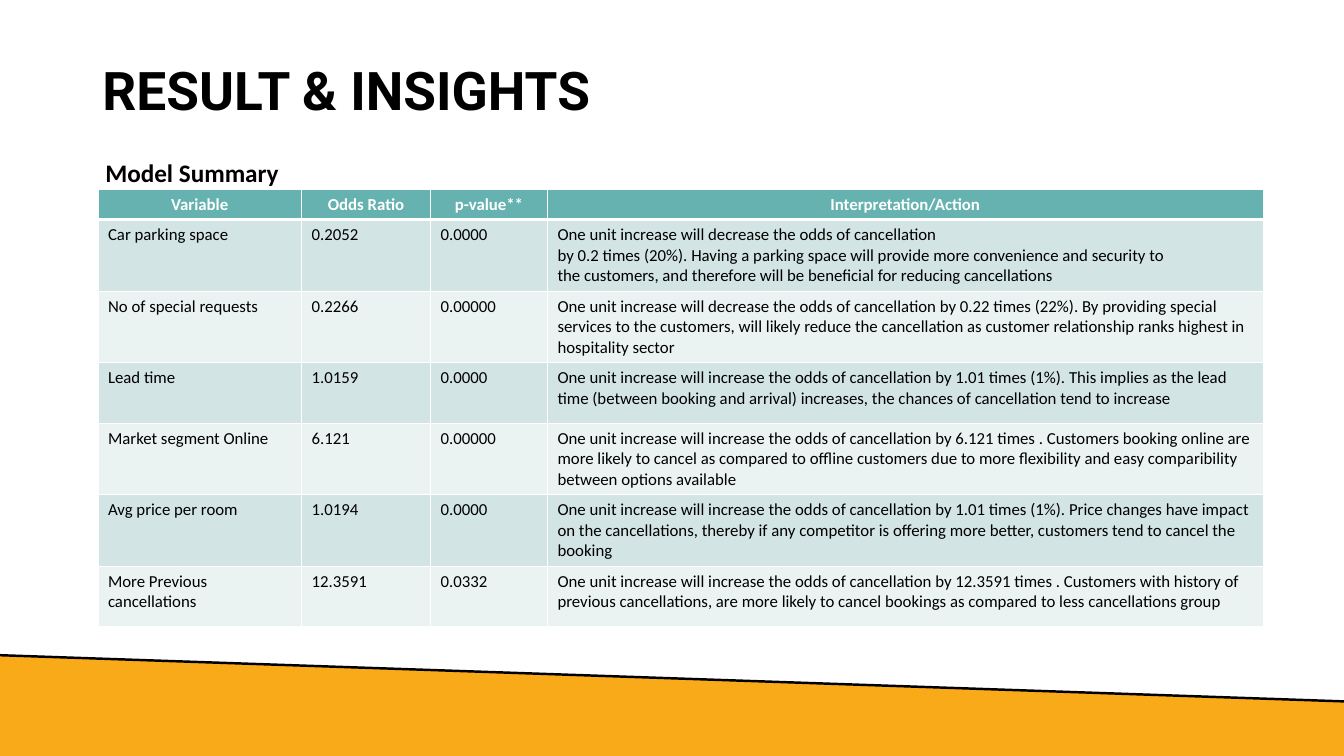
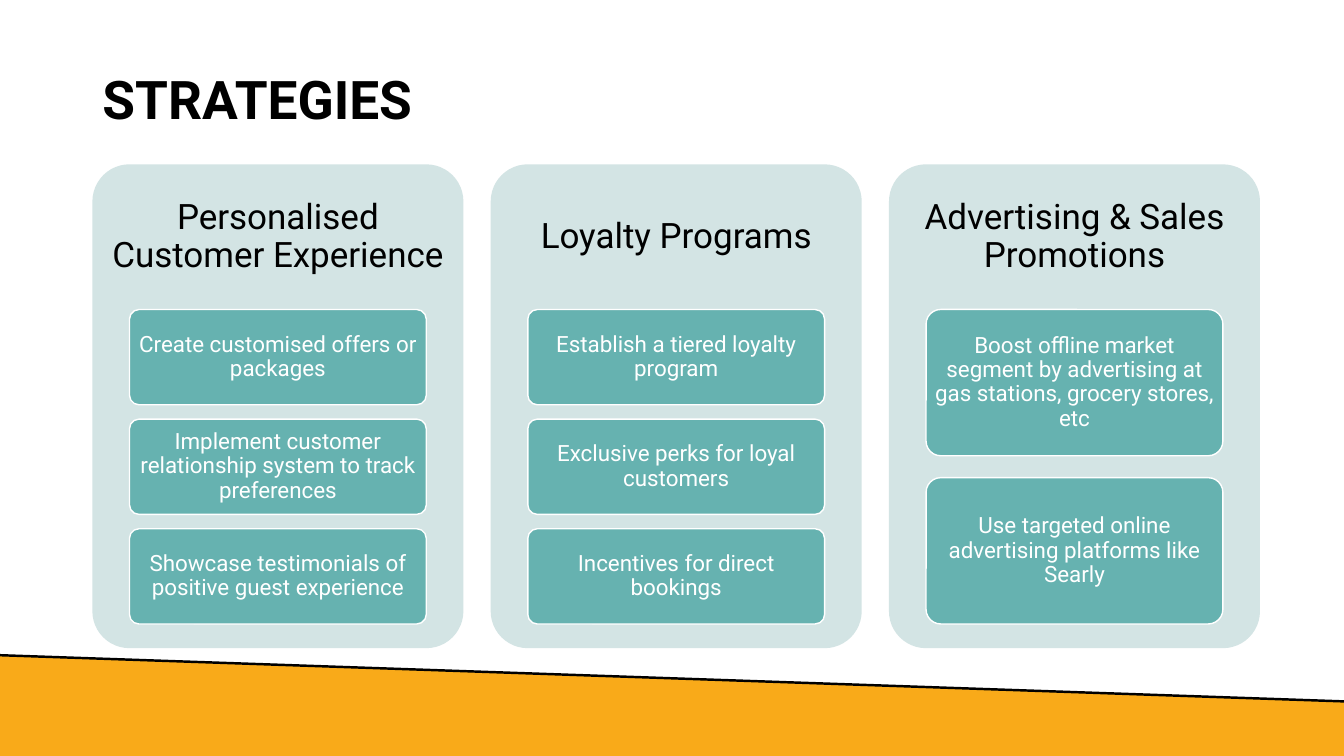
import lxml.etree
import pptx
import pptx.dml.color
import pptx.enum.shapes
import pptx.enum.text
import pptx.oxml.ns
import pptx.util

Pt = pptx.util.Pt
qn = pptx.oxml.ns.qn
ALIGN = pptx.enum.text.PP_ALIGN
ANCHOR = pptx.enum.text.MSO_ANCHOR

WIDTH, HEIGHT = 960, 540
COLORS = {
    "black": "000000",
    "white": "FFFFFF",
    "amber": "F9AA19",
    "teal": "66B2B0",
    "mist": "D3E4E4",
    "pale": "EAF2F2",
}
FORMATS = {
    "title": {"name": "Roboto", "size": Pt(38), "bold": True, "color": "black"},
    "subtitle": {"name": "Calibri", "size": Pt(18), "bold": True, "color": "black"},
    "header": {"name": "Calibri", "size": Pt(12), "bold": True, "color": "white"},
    "cell": {"name": "Calibri", "size": Pt(12), "bold": False, "color": "black"},
    "panel": {"name": "Roboto", "size": Pt(25), "bold": False, "color": "black"},
    "card": {"name": "Roboto", "size": Pt(16), "bold": False, "color": "white"},
}

SUMMARY_COLUMNS = [145.4, 92.2, 83.5, 511.2]
SUMMARY = [
    ("Variable", "Odds Ratio", "p-value**", "Interpretation/Action"),
    ("Car parking space", "0.2052", "0.0000",
     "One unit increase will decrease the odds of cancellation\v"
     "by 0.2 times (20%). Having a parking space will provide more convenience "
     "and security to\vthe customers, and therefore will be beneficial for "
     "reducing cancellations"),
    ("No of special requests", "0.2266", "0.00000",
     "One unit increase will decrease the odds of cancellation by 0.22 times (22%). "
     "By providing special services to the customers, will likely reduce the "
     "cancellation as customer relationship ranks highest in hospitality sector"),
    ("Lead time", "1.0159", "0.0000",
     "One unit increase will increase the odds of cancellation by 1.01 times (1%). "
     "This implies as the lead time (between booking and arrival) increases, "
     "the chances of cancellation tend to increase"),
    ("Market segment Online", "6.121", "0.00000",
     "One unit increase will increase the odds of cancellation by 6.121 times . "
     "Customers booking online are more likely to cancel as compared to offline "
     "customers due to more flexibility and easy comparibility between options available"),
    ("Avg price per room", "1.0194", "0.0000",
     "One unit increase will increase the odds of cancellation by 1.01 times (1%). "
     "Price changes have impact on the cancellations, thereby if any competitor is "
     "offering more better, customers tend to cancel the booking"),
    ("More Previous cancellations", "12.3591", "0.0332",
     "One unit increase will increase the odds of cancellation by 12.3591 times . "
     "Customers with history of previous cancellations, are more likely to cancel "
     "bookings as compared to less cancellations group"),
]

STRATEGIES = [
    ("Personalised Customer Experience", [
        "Create customised offers or packages",
        "Implement customer relationship system to track preferences",
        "Showcase testimonials of positive guest experience",
    ]),
    ("Loyalty Programs", [
        "Establish a tiered loyalty program",
        "Exclusive perks for loyal customers",
        "Incentives for direct bookings",
    ]),
    ("Advertising & Sales Promotions", [
        "Boost offline market segment by advertising at gas stations, grocery stores, etc",
        "Use targeted online advertising platforms like Searly",
    ]),
]


def rgb(color):
    return pptx.dml.color.RGBColor.from_string(COLORS[color])


class Deck:
    def __init__(self):
        self.prs = pptx.Presentation()
        self.prs.slide_width, self.prs.slide_height = Pt(WIDTH), Pt(HEIGHT)
        self.slide = None

    def add_slide(self, layout, title, title_height):
        self.slide = self.prs.slides.add_slide(self.prs.slide_layouts[layout])
        if len(self.prs.slides) == 1:
            self.band_on_master()
        self.placeholder(0, title, "title", (66, 29, 828, title_height), ANCHOR.MIDDLE)

    def band_on_master(self):
        """Draw the slanted foot band and move it to the master, behind everything."""
        left_y, right_y = 468, 501
        builder = self.slide.shapes.build_freeform(0, left_y, scale=Pt(1))
        builder.add_line_segments([(WIDTH, right_y), (WIDTH, HEIGHT), (0, HEIGHT)])
        band = builder.convert_to_shape()
        self.paint(band, "amber")
        edge = self.slide.shapes.add_connector(
            pptx.enum.shapes.MSO_CONNECTOR.STRAIGHT,
            Pt(0), Pt(left_y), Pt(WIDTH), Pt(right_y))
        edge.line.color.rgb = rgb("black")
        edge.line.width = Pt(1.75)
        lxml.etree.SubElement(edge.element.find(qn("p:spPr")), qn("a:effectLst"))
        tree = self.prs.slide_master.shapes.element
        for i, s in enumerate((band, edge)):
            s.element.xpath(".//p:cNvPr")[0].set("id", str(101 + i))
            tree.insert(2 + i, s.element)

    def paint(self, sp, fill, line=None):
        sp.shadow.inherit = False
        sp.fill.solid()
        sp.fill.fore_color.rgb = rgb(fill)
        if line:
            sp.line.color.rgb = rgb(line)
            sp.line.width = Pt(1)
        else:
            sp.line.fill.background()

    def set_text(self, tf, text, style, align=ALIGN.LEFT, spacing=0.9):
        tf.word_wrap = True
        tf.text = text
        p = tf.paragraphs[0]
        values = {"alignment": align, "line_spacing": spacing, "space_before": Pt(0)}
        for key, value in values.items():
            setattr(p, key, value)
        for r in p.runs:
            for key, value in FORMATS[style].items():
                if key == "color":
                    r.font.color.rgb = rgb(value)
                else:
                    setattr(r.font, key, value)
        return p

    def placeholder(self, idx, text, style, box, anchor):
        sp = self.slide.placeholders[idx]
        sp.left, sp.top, sp.width, sp.height = map(Pt, box)
        tf = sp.text_frame
        tf.auto_size = pptx.enum.text.MSO_AUTO_SIZE.NONE
        tf.vertical_anchor = anchor
        return self.set_text(tf, text, style)

    def subtitle(self, text, box):
        p = self.placeholder(1, text, "subtitle", box, ANCHOR.TOP)
        pPr = p._p.get_or_add_pPr()
        pPr.set("marL", "0")
        pPr.set("indent", "0")
        lxml.etree.SubElement(pPr, qn("a:buNone"))

    def borders(self, cell, **widths):
        """Add white borders; widths are given per side as L, R, T and B."""
        tcPr = cell._tc.get_or_add_tcPr()
        for side in "LRTB":
            ln = lxml.etree.SubElement(tcPr, qn("a:ln" + side),
                                       w=str(Pt(widths.get(side, 1))))
            fill = lxml.etree.SubElement(ln, qn("a:solidFill"))
            lxml.etree.SubElement(fill, qn("a:srgbClr"), val=COLORS["white"])

    def table(self, rows, columns, left, top, header_height, row_height):
        height = header_height + row_height * (len(rows) - 1)
        table = self.slide.shapes.add_table(
            len(rows), len(columns), Pt(left), Pt(top), Pt(sum(columns)), Pt(height)).table
        for column, width in zip(table.columns, columns):
            column.width = Pt(width)
        for i, row in enumerate(rows):
            table.rows[i].height = Pt(row_height if i else header_height)
            fill = ("pale", "mist")[i % 2] if i else "teal"
            style, align = ("cell", ALIGN.LEFT) if i else ("header", ALIGN.CENTER)
            for j, text in enumerate(row):
                cell = table.cell(i, j)
                self.borders(cell, T=3 if i == 1 else 1, B=1 if i else 3)
                cell.fill.solid()
                cell.fill.fore_color.rgb = rgb(fill)
                self.set_text(cell.text_frame, text, style, align, 1.0)

    def rounded(self, text, style, box, fill, line=None, margins=(0, 0, 0, 0)):
        sp = self.slide.shapes.add_shape(
            pptx.enum.shapes.MSO_SHAPE.ROUNDED_RECTANGLE, *map(Pt, box))
        sp.adjustments[0] = 0.1
        self.paint(sp, fill, line)
        tf = sp.text_frame
        tf.vertical_anchor = ANCHOR.MIDDLE
        for side, margin in zip(("left", "top", "right", "bottom"), margins):
            setattr(tf, "margin_" + side, Pt(margin))
        self.set_text(tf, text, style, ALIGN.CENTER)

    def panel(self, heading, cards, left, top, width, height):
        """Draw a panel: heading in the top 30 %, cards filling the next 65 %."""
        self.rounded(heading, "panel", (left, top, width, height), "mist",
                     margins=(0, 0, 0, height * 0.7))
        gap_ratio = 0.15
        card_height = height * 0.65 / (len(cards) + gap_ratio * (len(cards) - 1))
        for i, text in enumerate(cards):
            y = top + height * 0.3 + i * card_height * (1 + gap_ratio)
            self.rounded(text, "card", (left + width * 0.1, y, width * 0.8, card_height),
                         "teal", "white", (3, 2, 3, 2))


def main():
    deck = Deck()

    deck.add_slide(1, "RESULT & INSIGHTS", 75)
    deck.subtitle("Model Summary", (68, 111, 400, 24))
    deck.table(SUMMARY, SUMMARY_COLUMNS, 70, 135, 19.4, 43.2)

    deck.add_slide(5, "STRATEGIES", 88.5)
    panel_width, panel_gap = 265, 19.5
    for i, (heading, cards) in enumerate(STRATEGIES):
        deck.panel(heading, cards, 66 + i * (panel_width + panel_gap), 117.4,
                   panel_width, 345.6)

    deck.prs.save("out.pptx")


if __name__ == "__main__":
    main()
